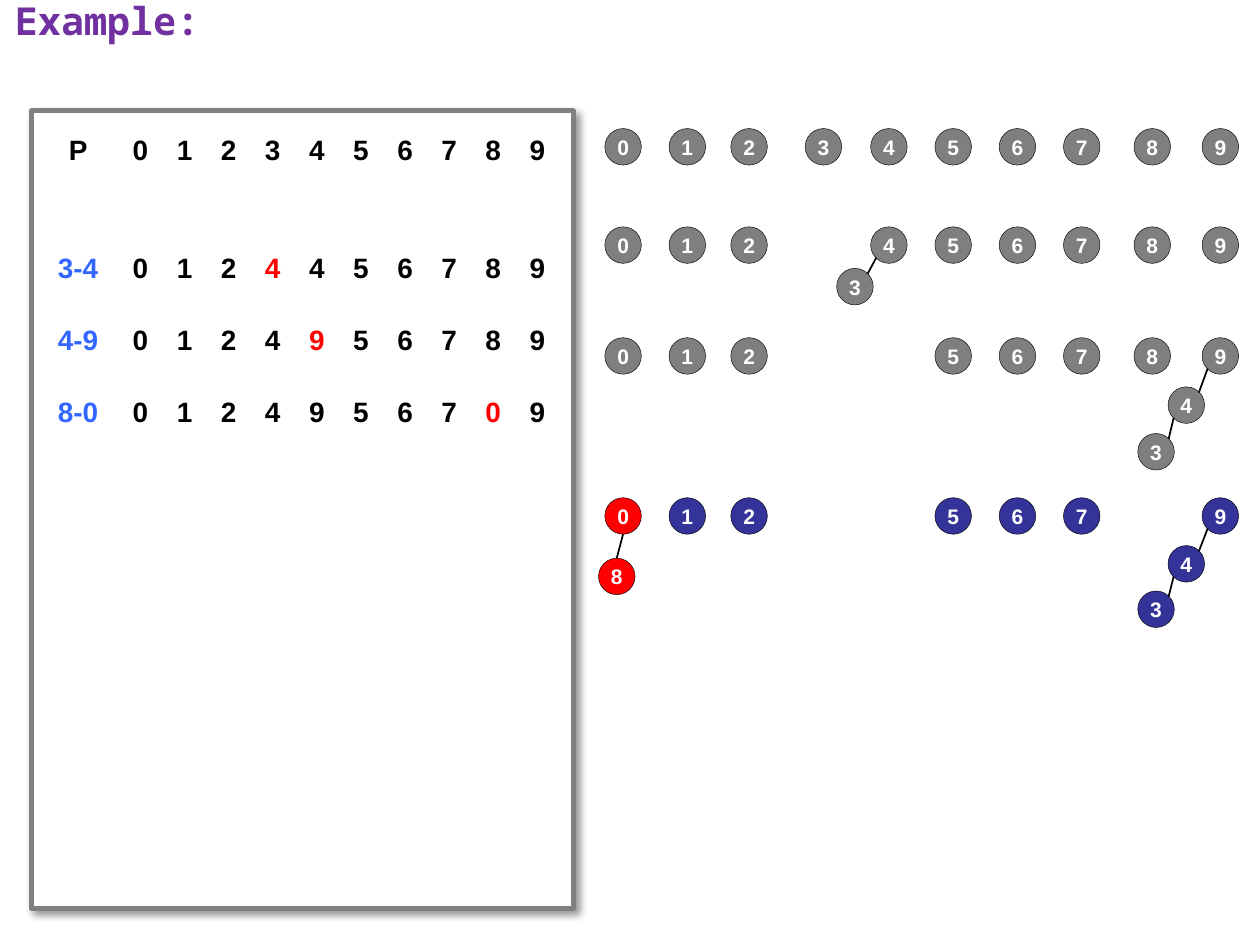
from lxml import etree
from pptx import Presentation
from pptx.dml.color import RGBColor
from pptx.enum.shapes import MSO_CONNECTOR, MSO_SHAPE
from pptx.enum.text import MSO_ANCHOR, PP_ALIGN
from pptx.oxml import parse_xml
from pptx.oxml.ns import qn
from pptx.util import Inches, Pt

NS = "http://schemas.openxmlformats.org/drawingml/2006/main"
BLACK, WHITE, GRAY, RED = "000000", "FFFFFF", "7F7F7F", "FF0000"
NAVY, BLUE, PURPLE = "333399", "3366FF", "7030A0"

NODE = 0.29
HOME_X = [4.8, 5.31, 5.8, 6.39, 6.91, 7.42, 7.93, 8.44, 9, 9.54]

# Label, parent of each element, index of the changed element
UNIONS = [
    ("3-4", "0124456789", 3),
    ("4-9", "0124956789", 4),
    ("8-0", "0124956709", 8),
]

# Top of the roots, colour, places of the children, (child, parent) links
FORESTS = [
    (1.02, GRAY, {}, []),
    (1.8, GRAY, {3: (6.64, 2.13)}, [(3, 4)]),
    (2.68, GRAY, {4: (9.27, 3.07), 3: (9.03, 3.44)}, [(3, 4), (4, 9)]),
    (3.95, NAVY, {4: (9.27, 4.33), 3: (9.03, 4.69), 8: (4.75, 4.43)},
     [(3, 4), (4, 9), (8, 0)]),
]
# The first three forests still show 8 as a root; the last marks 0 and 8.
MARKED = {8, 0}


def rgb(color):
    return RGBColor.from_string(color)


def write(tf, text, size=12, color=WHITE, font="Arial", align=PP_ALIGN.CENTER):
    p = tf.paragraphs[0]
    p.alignment = align
    r = p.add_run()
    r.text = text
    r.font.size = Pt(size)
    r.font.name = font
    r.font.bold = True
    r.font.color.rgb = rgb(color)
    return p


def add_shape(s, kind, box, fill, line, width):
    sp = s.shapes.add_shape(kind, *(Inches(v) for v in box))
    sp.shadow.inherit = False
    sp.fill.solid()
    sp.fill.fore_color.rgb = rgb(fill)
    sp.line.color.rgb = rgb(line)
    sp.line.width = Pt(width)
    return sp


def add_title(s):
    sp = s.shapes.add_textbox(Inches(0.02), Inches(-0.03), Inches(10.21), Inches(6.41))
    sp.text_frame.word_wrap = True
    p = write(sp.text_frame, "Example:", size=22, color=PURPLE,
              font="Noto Sans Mono", align=PP_ALIGN.LEFT)
    p.line_spacing = 0.9


def add_panel(s):
    sp = add_shape(s, MSO_SHAPE.RECTANGLE, (0.25, 0.88, 4.3, 6.33), WHITE, "808080", 2.75)
    effects = sp.element.spPr.find(qn("a:effectLst"))
    effects.append(parse_xml(
        f'<a:outerShdw xmlns:a="{NS}" blurRad="{Pt(4)}" dist="{Pt(3)}" dir="2700000" '
        f'algn="tl" rotWithShape="0"><a:srgbClr val="{BLACK}">'
        '<a:alpha val="40000"/></a:srgbClr></a:outerShdw>'))


def fill_row(tbl, row, label, label_color, values, changed=None):
    write(tbl.cell(row, 0).text_frame, label, size=16, color=label_color)
    for i, value in enumerate(values):
        write(tbl.cell(row, i + 1).text_frame, value, size=16,
              color=RED if i == changed else BLACK)


def add_parent_table(s):
    widths = [0.64] + [0.35] * 10
    heights = [0.57, 0.37] + [0.57] * 5
    tbl = s.shapes.add_table(len(heights), len(widths), Inches(0.3), Inches(0.91),
                             Inches(sum(widths)), Inches(sum(heights))).table
    tbl.first_row = tbl.horz_banding = False
    for column, width in zip(tbl.columns, widths):
        column.width = Inches(width)
    for row, height in zip(tbl.rows, heights):
        row.height = Inches(height)
    for cell in tbl.iter_cells():
        cell.fill.background()
        cell.vertical_anchor = MSO_ANCHOR.MIDDLE
    for cell in tbl.rows[1].cells:
        cell.margin_top = cell.margin_bottom = 0
    fill_row(tbl, 0, "P", BLACK, "0123456789")
    for row, (label, parents, changed) in enumerate(UNIONS, start=2):
        fill_row(tbl, row, label, BLUE, parents, changed)


def add_node(s, x, y, label, fill):
    sp = add_shape(s, MSO_SHAPE.OVAL, (x, y, NODE, NODE), fill, BLACK, 0.25)
    tf = sp.text_frame
    tf.margin_left = tf.margin_right = tf.margin_top = tf.margin_bottom = 0
    tf.word_wrap = False
    tf.vertical_anchor = MSO_ANCHOR.MIDDLE
    write(tf, label)


def add_link(s, child, parent):
    """Join a child to its parent, up to the right or nearly straight up."""
    half = NODE / 2
    dx, dy = (0.1, 0.1) if parent[0] - child[0] > 0.1 else (0, half)
    ends = (child[0] + half + dx, child[1] + half - dy,
            parent[0] + half - dx, parent[1] + half + dy)
    line = s.shapes.add_connector(MSO_CONNECTOR.STRAIGHT, *(Inches(v) for v in ends))
    line.line.color.rgb = rgb(BLACK)
    line.line.width = Pt(1)
    etree.SubElement(line.element.spPr, qn("a:effectLst"))


def add_forest(s, top, color, children, links):
    places = {i: children.get(i, (x, top)) for i, x in enumerate(HOME_X)}
    for i, (x, y) in places.items():
        add_node(s, x, y, str(i), RED if color == NAVY and i in MARKED else color)
    for child, parent in links:
        add_link(s, places[child], places[parent])


def main():
    prs = Presentation()
    prs.slide_width, prs.slide_height = Inches(10), Inches(7.5)
    s = prs.slides.add_slide(prs.slide_layouts[6])
    add_title(s)
    add_panel(s)
    add_parent_table(s)
    for forest in FORESTS:
        add_forest(s, *forest)
    prs.save("out.pptx")


if __name__ == "__main__":
    main()
